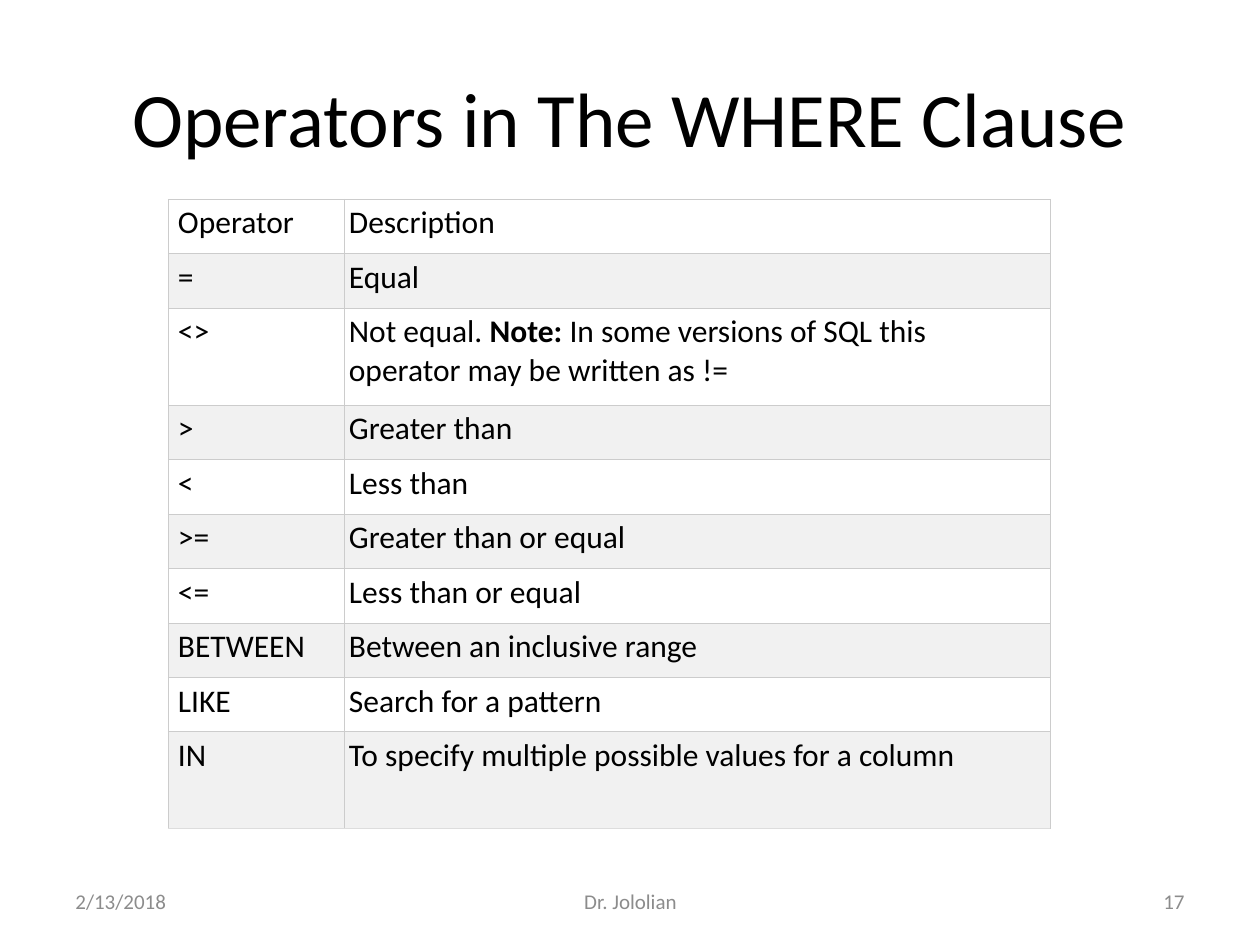
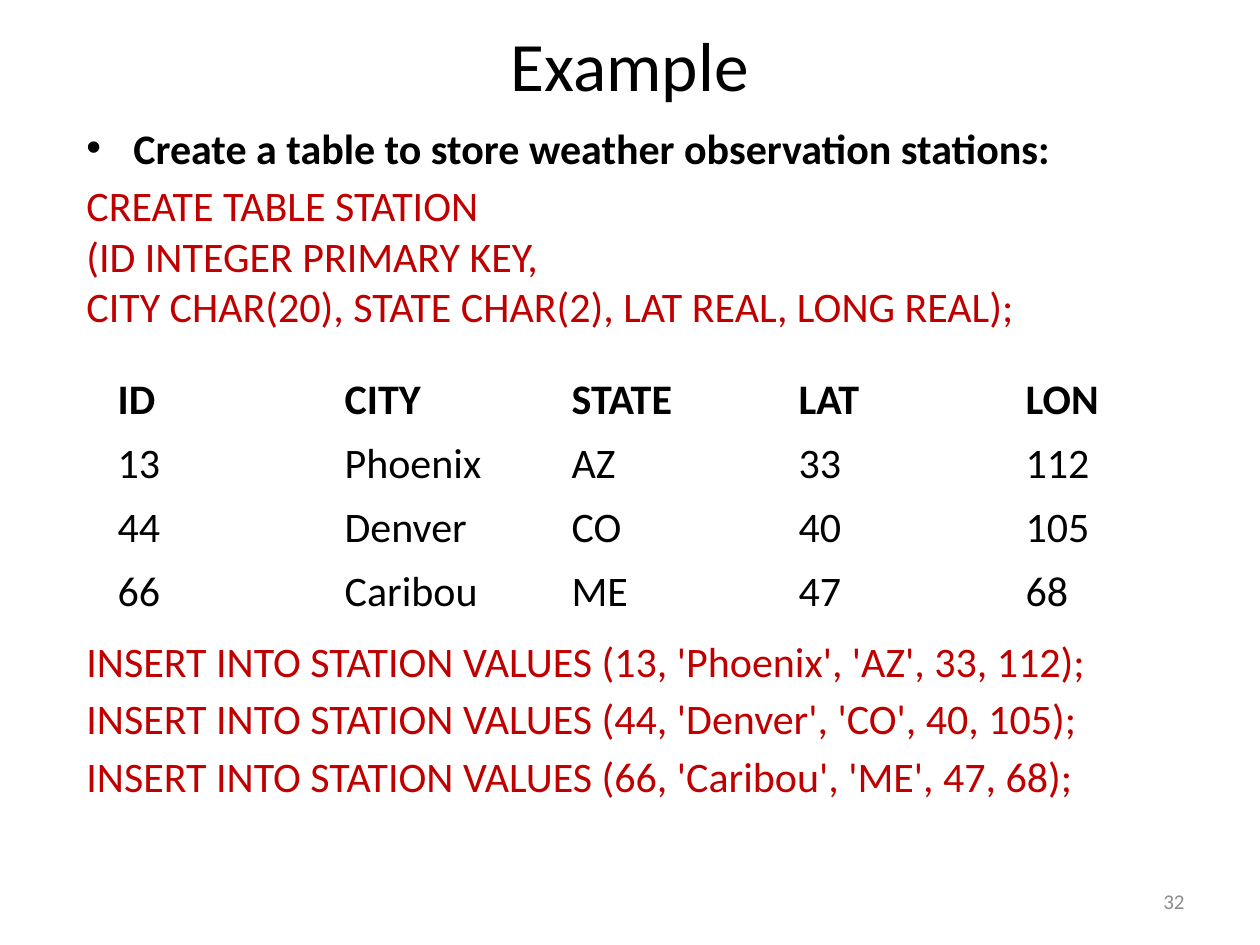
from lxml import etree
from pptx import Presentation
from pptx.dml.color import RGBColor
from pptx.enum.text import MSO_ANCHOR, MSO_AUTO_SIZE, PP_ALIGN
from pptx.oxml.ns import qn
from pptx.util import Emu, Pt

LEFT, CENTER, RIGHT = PP_ALIGN.LEFT, PP_ALIGN.CENTER, PP_ALIGN.RIGHT
TOP, MIDDLE = MSO_ANCHOR.TOP, MSO_ANCHOR.MIDDLE
NO_FIT = MSO_AUTO_SIZE.NONE
TITLE_ONLY = 5
PX_PER_INCH = 126
FONT = "Calibri"
COLORS = {
    "text": "000000",
    "code": "C00000",
    "footer": "8C8C8C",
    "plain": "FFFFFF",
    "band": "F1F1F1",
    "grid": "CCCCCC",
    "grid_end": "DDDDDD",
}

OPERATORS = [
    ("Operator", "Description"),
    ("=", "Equal"),
    ("<>", "Not equal. **Note:** In some versions of SQL this operator may be written as !="),
    (">", "Greater than"),
    ("<", "Less than"),
    (">=", "Greater than or equal"),
    ("<=", "Less than or equal"),
    ("BETWEEN", "Between an inclusive range"),
    ("LIKE", "Search for a pattern"),
    ("IN", "To specify multiple possible values for a column"),
]
STATIONS = [
    ("ID", "CITY", "STATE", "LAT", "LON"),
    (13, "Phoenix", "AZ", 33, 112),
    (44, "Denver", "CO", 40, 105),
    (66, "Caribou", "ME", 47, 68),
]
CREATE_TABLE = (
    "CREATE TABLE STATION\n(ID INTEGER PRIMARY KEY,\n"
    "CITY CHAR(20), STATE CHAR(2), LAT REAL, LONG REAL);"
)


def px(length):
    return Emu(round(length * 914400 / PX_PER_INCH))


class Deck:
    """Hold the shared style and the current slide."""

    def __init__(self):
        self.prs = Presentation()
        self.prs.slide_width, self.prs.slide_height = px(1260), px(945)
        self.slide = None

    def style(self, paragraph, size, color="text", bold=False, align=LEFT):
        paragraph.alignment = align
        font = paragraph.font
        font.name, font.size, font.bold = FONT, Pt(size), bold
        font.color.rgb = RGBColor.from_string(COLORS[color])

    def new_slide(self, title, top, height, size):
        layout = self.prs.slide_layouts[TITLE_ONLY]
        self.slide = self.prs.slides.add_slide(layout)
        heading = self.slide.shapes.title
        heading.left, heading.top = px(63), px(top)
        heading.width, heading.height = px(1134), px(height)
        frame = heading.text_frame
        frame.text = title
        frame.auto_size, frame.vertical_anchor = NO_FIT, MIDDLE
        self.style(frame.paragraphs[0], size, align=CENTER)

    def text(self, box, paragraphs, size, color="text", align=LEFT, anchor=TOP):
        frame = self.slide.shapes.add_textbox(*map(px, box)).text_frame
        frame.word_wrap, frame.vertical_anchor = True, anchor
        for index, content in enumerate(paragraphs):
            paragraph = frame.add_paragraph() if index else frame.paragraphs[0]
            paragraph.text = content
            self.style(paragraph, size, color, align=align)
            if index:
                paragraph.space_before = Pt(4.2)
        return frame

    def bullet(self, paragraph, indent):
        properties = paragraph._p.get_or_add_pPr()
        properties.set("marL", str(px(indent)))
        properties.set("indent", str(-px(indent)))
        mark_font = etree.SubElement(properties, qn("a:buFont"))
        mark_font.set("typeface", "Arial")
        etree.SubElement(properties, qn("a:buChar")).set("char", "•")

    def footer(self, number, date=None, author=None):
        parts = [
            (63, 294, date, LEFT),
            (431, 399, author, CENTER),
            (903, 294, number, RIGHT),
        ]
        for left, width, content, align in parts:
            if content:
                self.text((left, 876, width, 50), [str(content)], 12, "footer", align, MIDDLE)

    def table(self, left, top, widths, heights, rows):
        box = (left, top, sum(widths), sum(heights))
        frame = self.slide.shapes.add_table(len(rows), len(widths), *map(px, box))
        grid = frame.table
        grid.first_row = grid.horz_banding = False
        for column, width in zip(grid.columns, widths):
            column.width = px(width)
        for row, height in zip(grid.rows, heights):
            row.height = px(height)
        return grid

    def cell_text(self, cell, content, size, bold=False):
        paragraph = cell.text_frame.paragraphs[0]
        pieces = str(content).split("**")
        for index, piece in enumerate(pieces):
            run = paragraph.add_run()
            run.text = piece
            if index % 2:
                run.font.bold = True
        self.style(paragraph, size, bold=bold)

    def cell_borders(self, cell, bottom):
        properties = cell._tc.get_or_add_tcPr()
        for side in "LRTB":
            line = etree.SubElement(properties, qn(f"a:ln{side}"), w=str(Pt(0.38)))
            fill = etree.SubElement(line, qn("a:solidFill"))
            color = bottom if side == "B" else "grid"
            etree.SubElement(fill, qn("a:srgbClr"), val=COLORS[color])

    def operator_table(self, rows):
        tall_rows, tall, total = (2, 9), 97, 630
        short = (total - tall * len(tall_rows)) / (len(rows) - len(tall_rows))
        heights = [tall if r in tall_rows else short for r in range(len(rows))]
        grid = self.table(168, 199, (176, 706), heights, rows)
        for r, row in enumerate(rows):
            for c, content in enumerate(row):
                cell = grid.cell(r, c)
                cell.margin_left = px(5 if c else 10)
                cell.margin_right = cell.margin_top = cell.margin_bottom = px(5)
                self.cell_borders(cell, "grid_end" if r == len(rows) - 1 else "grid")
                cell.fill.solid()
                band = "band" if r % 2 else "plain"
                cell.fill.fore_color.rgb = RGBColor.from_string(COLORS[band])
                self.cell_text(cell, content, 18)

    def station_table(self, rows):
        grid = self.table(105, 368, [227] * len(rows[0]), [64] * len(rows), rows)
        for r, row in enumerate(rows):
            for c, content in enumerate(row):
                cell = grid.cell(r, c)
                cell.vertical_anchor = MIDDLE
                cell.fill.background()
                self.cell_text(cell, content, 24, bold=r == 0)


def main():
    deck = Deck()

    deck.new_slide("Operators in The WHERE Clause", 38, 158, 44)
    deck.operator_table(OPERATORS)
    deck.footer(17, "2/13/2018", "Dr. Jololian")

    deck.new_slide("Example", 25, 78, 39.6)
    task = "Create a table to store weather observation stations:"
    definition = deck.text((74, 116, 1123, 230), [task, CREATE_TABLE], 24, "code")
    deck.style(definition.paragraphs[0], 24, bold=True)
    deck.bullet(definition.paragraphs[0], 47)
    deck.station_table(STATIONS)
    inserts = [f"INSERT INTO STATION VALUES {station};" for station in STATIONS[1:]]
    deck.text((74, 629, 1123, 190), inserts, 24, "code")
    deck.footer(32)

    deck.prs.save("out.pptx")


if __name__ == "__main__":
    main()
